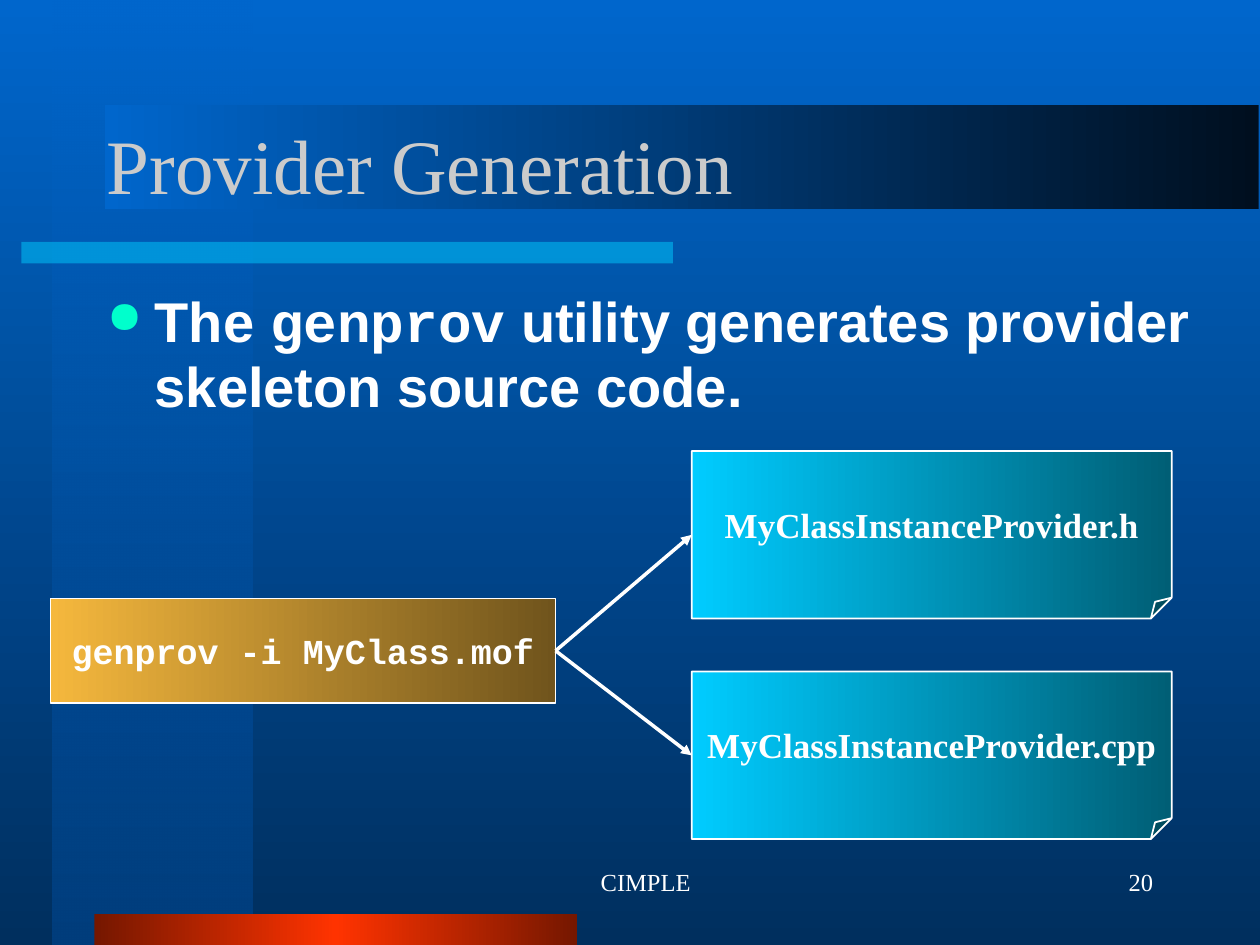
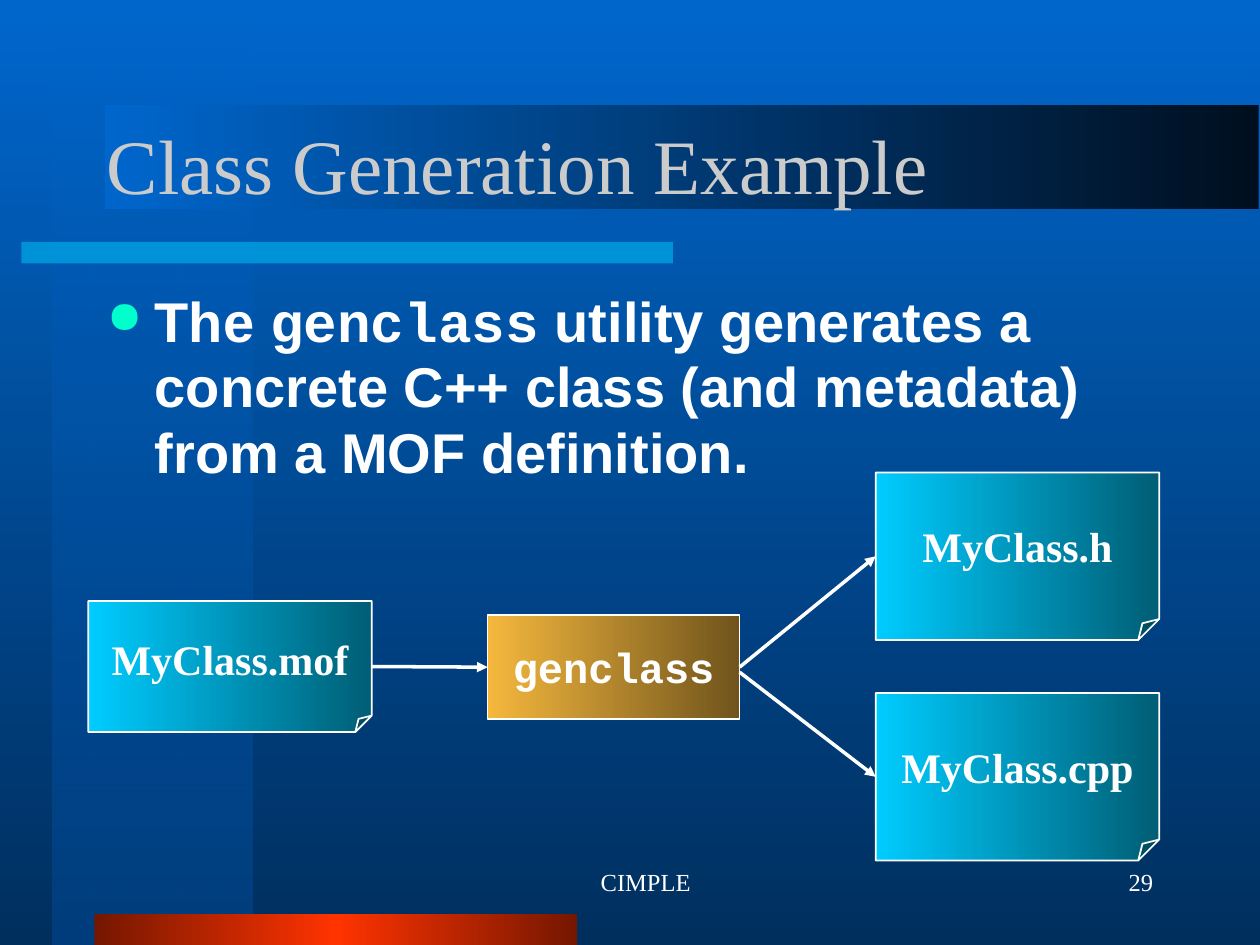
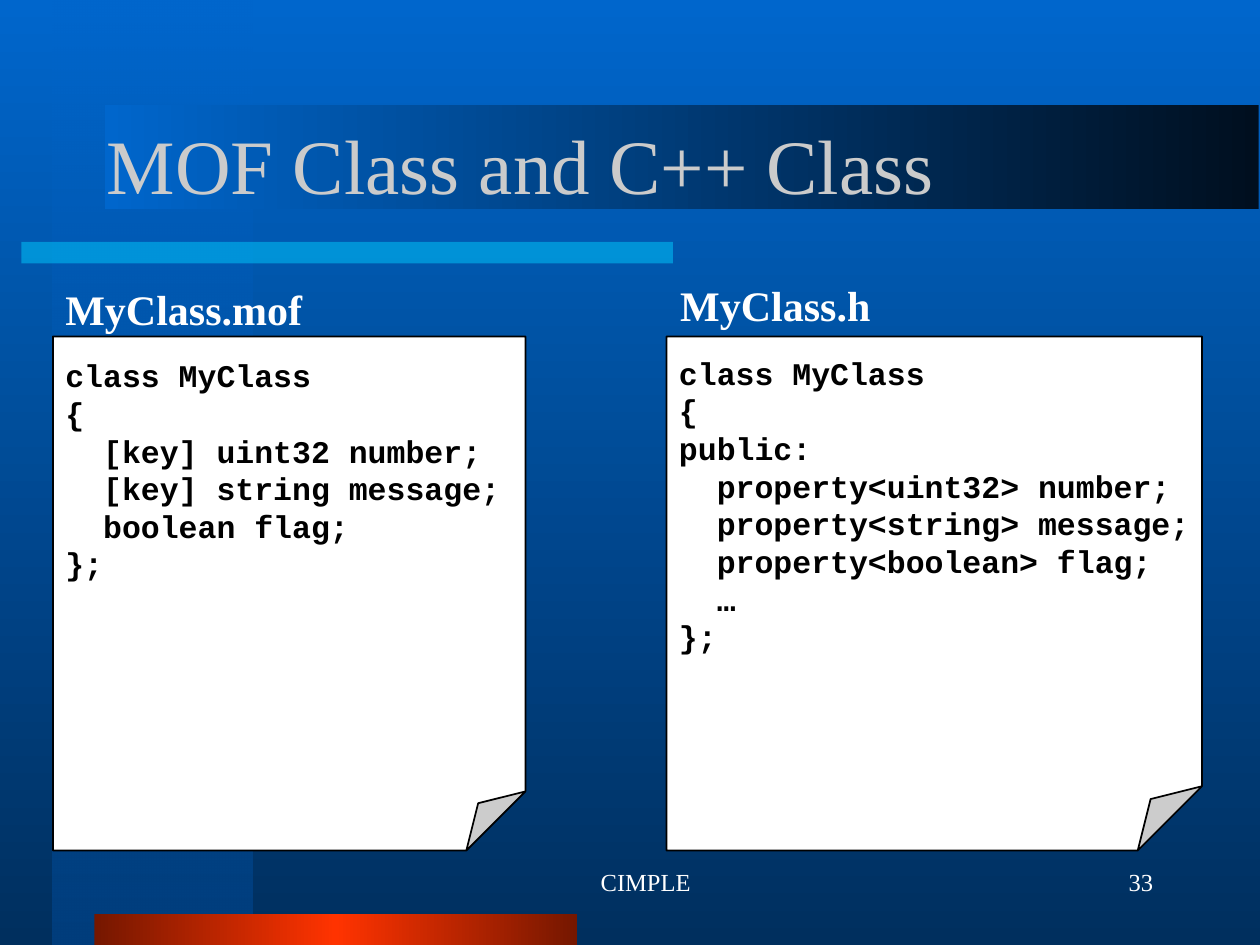
"""Build three slides on generating code from MOF classes."""
import dataclasses
import typing

import pptx
import pptx.dml.color
import pptx.enum.shapes
import pptx.enum.text
import pptx.oxml.ns
import pptx.util
from lxml import etree

RGBColor = pptx.dml.color.RGBColor
Inches = pptx.util.Inches
Pt = pptx.util.Pt
qn = pptx.oxml.ns.qn
Kind = pptx.enum.shapes.MSO_SHAPE
Align = pptx.enum.text.PP_ALIGN
Anchor = pptx.enum.text.MSO_ANCHOR

WHITE = RGBColor(0xFF, 0xFF, 0xFF)
BLACK = RGBColor(0, 0, 0)
SILVER = RGBColor(0xCB, 0xCB, 0xCB)
BLUE = RGBColor(0x00, 0x66, 0xCC)
NAVY = RGBColor(0x00, 0x2F, 0x5E)
MARINE = RGBColor(0x00, 0x3E, 0x7D)
NIGHT = RGBColor(0x00, 0x0F, 0x1F)
CYAN = RGBColor(0x00, 0xCC, 0xFF)
TEAL = RGBColor(0x00, 0x5E, 0x75)
GOLD = RGBColor(0xF5, 0xB8, 0x3D)
BROWN = RGBColor(0x70, 0x54, 0x1C)
RED = RGBColor(0xFF, 0x33, 0x00)
RUST = RGBColor(0x75, 0x17, 0x00)
MINT = RGBColor(0x00, 0xFF, 0xCC)

SERIF, SANS, MONO = "Times New Roman", "Arial", "Courier New"
DOWN, LEFT = 270, 180


class Area(typing.NamedTuple):
    """Left, top, width and height in inches."""
    x: float
    y: float
    w: float
    h: float


@dataclasses.dataclass(frozen=True)
class Paint:
    """Evenly spaced colours, an angle and the opacity of the first."""
    tones: tuple[RGBColor, ...]
    angle: int = LEFT
    first: int = 100


@dataclasses.dataclass(frozen=True)
class Box:
    """A labelled step or file in a flow."""
    text: str
    area: Area
    size: int
    step: bool = False


@dataclasses.dataclass(frozen=True)
class Link:
    """An arrow between two boxes, by index."""
    start: int
    end: int
    drop: float = 0


@dataclasses.dataclass(frozen=True)
class Page:
    """A sheet of code with its file name above."""
    name: str
    label: Area
    sheet: Area
    top: float
    head: tuple[str, ...]
    inner: tuple[str, ...]


BANDS = (
    (Area(0.42, 0, 1.58, 7.5), Paint((BLUE, MARINE), DOWN, 50)),
    (Area(0.17, 1.92, 5.17, 0.17), Paint((CYAN,), first=50)),
    (Area(0.75, 7.25, 3.83, 0.25), Paint((RUST, RED, RUST))),
    (Area(0.83, 0.83, 9.16, 0.83), Paint((NIGHT, BLUE))),
)
STEP, FILE = Paint((BROWN, GOLD)), Paint((TEAL, CYAN))

PROVIDER = (
    Box("genprov -i MyClass.mof", Area(0.4, 4.75, 4.01, 0.83), 20, True),
    Box("MyClassInstanceProvider.h", Area(5.49, 3.58, 3.81, 1.33), 20),
    Box("MyClassInstanceProvider.cpp", Area(5.49, 5.33, 3.81, 1.33), 20),
)
CLASSES = (
    Box("MyClass.mof", Area(0.7, 4.77, 2.25, 1.04), 24),
    Box("genclass", Area(3.87, 4.88, 2, 0.83), 24, True),
    Box("MyClass.h", Area(6.95, 3.75, 2.25, 1.33), 24),
    Box("MyClass.cpp", Area(6.95, 5.5, 2.25, 1.33), 24),
)
PAGES = (
    Page("MyClass.mof", Area(0.42, 2.2, 2.08, 0.5),
         Area(0.42, 2.67, 3.75, 4.08), 0.16, ("class MyClass", "{"),
         ("[key] uint32 number;", "[key] string message;", "boolean flag;")),
    Page("MyClass.h", Area(5.3, 2.17, 1.71, 0.5),
         Area(5.29, 2.67, 4.25, 4.08), 0.14, ("class MyClass", "{", "public:"),
         ("property<uint32> number;", "property<string> message;",
          "property<boolean> flag;", "…")),
)


def place(area: Area) -> list[int]:
    """Turn an area into lengths."""
    return [Inches(side) for side in area]


def shade(fill, root, paint: Paint) -> None:
    """Fill with one colour or a gradient."""
    if len(paint.tones) == 1:
        fill.solid()
        fill.fore_color.rgb = paint.tones[0]
    else:
        fill.gradient()
        fill.gradient_angle = paint.angle
        stops = root.find(".//" + qn("a:gsLst"))
        for stop in list(stops):
            stops.remove(stop)
        for rank, tone in enumerate(paint.tones):
            spot = 100000 * rank // (len(paint.tones) - 1)
            stop = etree.SubElement(stops, qn("a:gs"), pos=str(spot))
            etree.SubElement(stop, qn("a:srgbClr"), val=str(tone))
    if paint.first < 100:
        tone = root.find(".//" + qn("a:srgbClr"))
        etree.SubElement(tone, qn("a:alpha"), val=str(paint.first * 1000))


def draw(slide, kind, area: Area, paint: Paint, edge: RGBColor | None = None):
    """Draw a filled shape."""
    shape = slide.shapes.add_shape(kind, *place(area))
    shape.shadow.inherit = False
    shade(shape.fill, shape.element, paint)
    if edge is None:
        shape.line.fill.background()
    else:
        shape.line.color.rgb = edge
        shape.line.width = Pt(1)
    return shape


def fold(slide, area: Area, paint: Paint, edge: RGBColor):
    """Draw a sheet whose corner folds by an eighth."""
    shape = draw(slide, Kind.FOLDED_CORNER, area, paint, edge)
    guides = shape.element.find(".//" + qn("a:avLst"))
    for guide in list(guides):
        guides.remove(guide)
    etree.SubElement(guides, qn("a:gd"), name="adj", fmla="val 12500")
    return shape


def write(shape, *lines: str, size: int, font: str = SERIF,
          color: RGBColor = WHITE, bold: bool = False, align=Align.LEFT,
          anchor=Anchor.MIDDLE, wrap: bool = True, top: float = 0.05,
          right: float = 0.1, pitch: float | None = None,
          indent: float = 0, inner: range = range(1)) -> None:
    """Set lines of text; backquotes mark code, inner lines are indented."""
    frame = shape.text_frame
    frame.word_wrap = wrap
    frame.vertical_anchor = anchor
    frame.margin_top, frame.margin_right = Inches(top), Inches(right)
    for rank, line in enumerate(lines):
        para = frame.add_paragraph() if rank else frame.paragraphs[0]
        para.alignment = align
        if pitch:
            para.line_spacing = Pt(pitch)
        if indent and rank in inner:
            para._p.get_or_add_pPr().set("marL", str(Inches(indent)))
        for part, text in enumerate(line.split("`")):
            run = para.add_run()
            run.text = text
            run.font.name = MONO if part % 2 else font
            run.font.size = Pt(size)
            run.font.bold = bold
            run.font.color.rgb = color


def label(slide, area: Area, text: str, **style):
    """Add a text box."""
    box = slide.shapes.add_textbox(*place(area))
    write(box, text, **style)
    return box


def point(slide, text: str) -> None:
    """Add the bulleted statement."""
    box = label(slide, Area(0.75, 2.17, 8.92, 4.5), text, size=32, font=SANS,
                bold=True, anchor=Anchor.TOP, top=0.12, pitch=37.3,
                indent=0.38)
    props = box.text_frame.paragraphs[0]._p.get_or_add_pPr()
    props.set("indent", str(-Inches(0.38)))
    tint = etree.SubElement(props, qn("a:buClr"))
    etree.SubElement(tint, qn("a:srgbClr"), val=str(MINT))
    etree.SubElement(props, qn("a:buSzPct"), val="80000")
    etree.SubElement(props, qn("a:buChar"), char="●")


def join(slide, start, end, drop: float) -> None:
    """Draw an arrow from a right side to a left side."""
    line = slide.shapes.add_connector(
        pptx.enum.shapes.MSO_CONNECTOR.STRAIGHT,
        start.left + start.width, start.top + start.height // 2 + Inches(drop),
        end.left, end.top + end.height // 2)
    if not drop:
        line.begin_connect(start, 3)
    line.end_connect(end, 1)
    line.line.color.rgb = WHITE
    line.line.width = Pt(2)
    props = line.element.spPr
    etree.SubElement(props.find(qn("a:ln")), qn("a:tailEnd"), type="triangle")
    etree.SubElement(props, qn("a:effectLst"))


def flow(slide, boxes: tuple[Box, ...], links: tuple[Link, ...]) -> None:
    """Draw boxes and the arrows between them."""
    shapes = []
    for box in boxes:
        if box.step:
            shape = draw(slide, Kind.RECTANGLE, box.area, STEP, WHITE)
        else:
            shape = fold(slide, box.area, FILE, WHITE)
        write(shape, box.text, size=box.size, bold=True, wrap=False,
              font=MONO if box.step else SERIF, align=Align.CENTER)
        shapes.append(shape)
    for link in links:
        join(slide, shapes[link.start], shapes[link.end], link.drop)


def sheet(slide, page: Page) -> None:
    """Draw a sheet of code under its file name."""
    shape = fold(slide, page.sheet, Paint((WHITE,)), BLACK)
    begin = len(page.head)
    write(shape, *page.head, *page.inner, "};", size=18, font=MONO,
          color=BLACK, bold=True, anchor=Anchor.TOP, top=page.top, right=0,
          pitch=21.5, indent=0.3, inner=range(begin, begin + len(page.inner)))
    label(slide, page.label, page.name, size=24, bold=True, wrap=False,
          anchor=Anchor.TOP)


def start(deck, title: str, number: int, width: float = 8.5):
    """Add a slide with its bands, title and footers."""
    slide = deck.slides.add_slide(deck.slide_layouts[6])
    shade(slide.background.fill, slide.element, Paint((BLUE, NAVY), DOWN))
    for area, paint in BANDS:
        draw(slide, Kind.RECTANGLE, area, paint)
    label(slide, Area(0.75, 0.67, width, 1.25), title, size=44, color=SILVER)
    label(slide, Area(3.42, 6.75, 3.17, 0.5), "CIMPLE", size=14,
          align=Align.CENTER, indent=0.24)
    label(slide, Area(7.17, 6.75, 2.08, 0.5), str(number), size=14,
          align=Align.RIGHT, indent=0.24)
    return slide


def main() -> None:
    """Build and save the deck."""
    deck = pptx.Presentation()
    deck.slide_width, deck.slide_height = Inches(10), Inches(7.5)

    slide = start(deck, "Provider Generation", 20)
    point(slide, "The `genprov` utility generates provider skeleton source "
                 "code.")
    flow(slide, PROVIDER, (Link(0, 1), Link(0, 2)))

    slide = start(deck, "Class Generation Example", 29)
    point(slide, "The `genclass` utility generates a concrete C++ class "
                 "(and metadata) from a MOF definition.")
    flow(slide, CLASSES, (Link(0, 1), Link(1, 2), Link(1, 3, 0.04)))

    slide = start(deck, "MOF Class and C++ Class", 33, 8.75)
    for page in PAGES:
        sheet(slide, page)

    deck.save("out.pptx")


if __name__ == "__main__":
    main()
